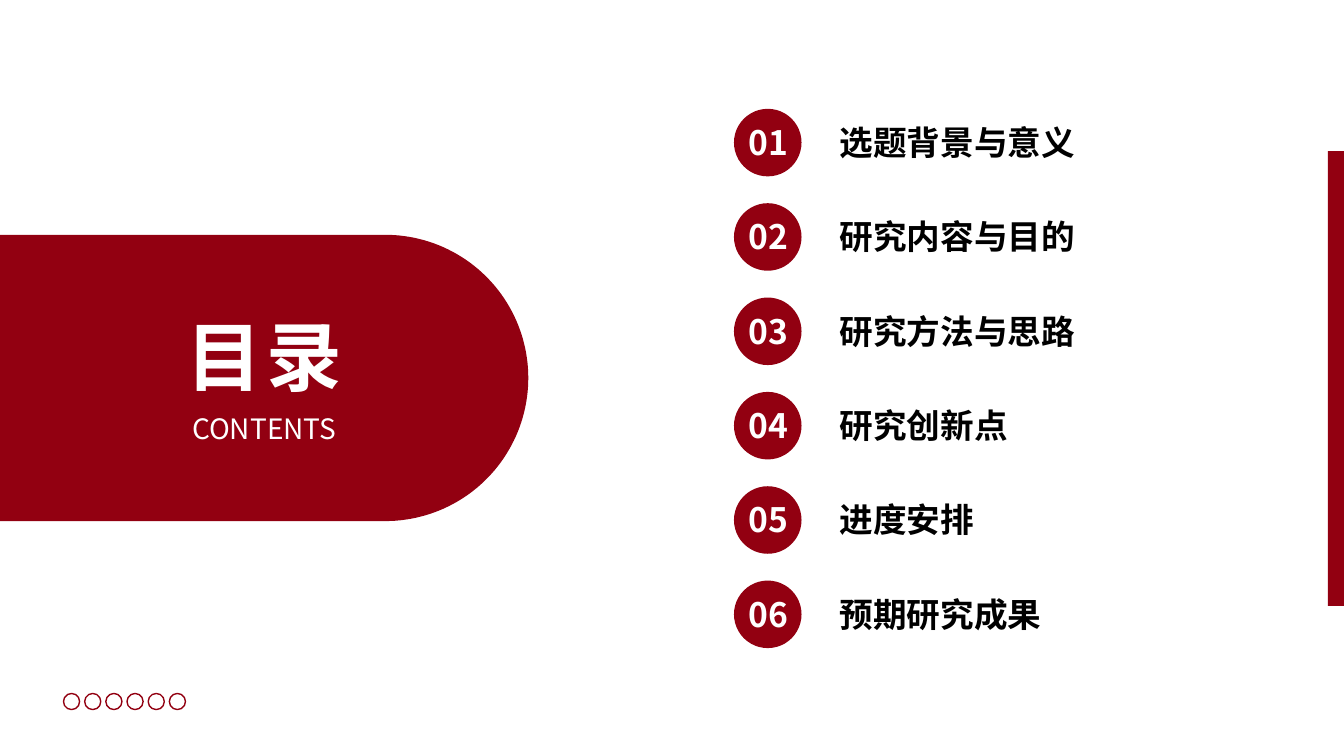
import math
from dataclasses import dataclass

import pptx
import pptx.dml.color
import pptx.enum.shapes
import pptx.enum.text
import pptx.oxml
import pptx.oxml.ns
import pptx.util
from pptx.util import Inches

ALIGN = pptx.enum.text.PP_ALIGN
ANCHOR = pptx.enum.text.MSO_ANCHOR
SHAPE = pptx.enum.shapes.MSO_SHAPE


@dataclass(frozen=True)
class Theme:
    font: str = "Noto Sans CJK SC"
    red: str = "920011"
    white: str = "FFFFFF"
    black: str = "000000"
    title_size: int = 54
    subtitle_size: int = 20
    item_size: int = 24


THEME = Theme()
TOPICS = ["选题背景与意义", "研究内容与目的", "研究方法与思路", "研究创新点", "进度安排", "预期研究成果"]


def rgb(value):
    return pptx.dml.color.RGBColor.from_string(value)


def paint(shape, fill=None, line=None):
    shape.shadow.inherit = False
    if fill:
        shape.fill.solid()
        shape.fill.fore_color.rgb = rgb(fill)
    else:
        shape.fill.background()
    if line:
        shape.line.color.rgb = rgb(line)
        shape.line.width = pptx.util.Pt(1)
    else:
        shape.line.fill.background()


def add_shape(slide, kind, box, **colors):
    shape = slide.shapes.add_shape(kind, *map(Inches, box))
    paint(shape, **colors)


def add_text(slide, text, box, size, color, bold=True, align=ALIGN.CENTER,
             anchor=ANCHOR.TOP, spacing=0):
    frame = slide.shapes.add_textbox(*map(Inches, box)).text_frame
    frame_format = {
        "word_wrap": False,
        "auto_size": pptx.enum.text.MSO_AUTO_SIZE.SHAPE_TO_FIT_TEXT,
        "vertical_anchor": anchor,
    }
    for name, value in frame_format.items():
        setattr(frame, name, value)
    paragraph = frame.paragraphs[0]
    paragraph.alignment = align
    run = paragraph.add_run()
    run.text = text
    run.font.color.rgb = rgb(color)
    font_format = {"name": THEME.font, "size": pptx.util.Pt(size), "bold": bold}
    for name, value in font_format.items():
        setattr(run.font, name, value)
    # East Asian typeface and letter spacing
    properties = run._r.get_or_add_rPr()
    east_asian = pptx.oxml.parse_xml(
        f'<a:ea {pptx.oxml.ns.nsdecls("a")} typeface="{THEME.font}"/>')
    properties.append(east_asian)
    if spacing:
        properties.set("spc", str(spacing * 100))


def add_title_panel(slide):
    # Band from the left edge with a semicircular right end
    center_x, center_y, radius, steps = 3.82, 3.75, 1.42, 90
    angles = [math.pi * (step / steps - 0.5) for step in range(steps + 1)]
    arc = [(Inches(center_x + radius * math.cos(angle)),
            Inches(center_y + radius * math.sin(angle))) for angle in angles]
    top, bottom = Inches(center_y - radius), Inches(center_y + radius)
    builder = slide.shapes.build_freeform(0, top)
    builder.add_line_segments(arc + [(0, bottom)], close=True)
    paint(builder.convert_to_shape(), fill=THEME.red)

    add_text(slide, "目录", (1.72, 3.03, 1.8, 1.01), THEME.title_size, THEME.white, spacing=3)
    add_text(slide, "CONTENTS", (1.79, 4.03, 1.66, 0.44), THEME.subtitle_size,
             THEME.white, bold=False)


def add_topic(slide, number, topic):
    top = 1.08 + (number - 1) * 0.936
    add_shape(slide, SHAPE.OVAL, (7.28, top, 0.67, 0.67), fill=THEME.red)
    add_text(slide, f"{number:02d}", (7.31, top + 0.08, 0.62, 0.5),
             THEME.item_size, THEME.white)
    width = len(topic) * THEME.item_size / 72 + 0.2
    add_text(slide, topic, (8.23, top + 0.08, width, 0.5), THEME.item_size,
             THEME.black, align=ALIGN.LEFT, anchor=ANCHOR.MIDDLE)


def add_decorations(slide):
    for index in range(6):
        add_shape(slide, SHAPE.OVAL, (0.63 + index * 0.21, 6.88, 0.16, 0.16), line=THEME.red)
    add_shape(slide, SHAPE.RECTANGLE, (13.17, 1.5, 0.16, 4.51), fill=THEME.red)


def main():
    presentation = pptx.Presentation()
    presentation.slide_width = Inches(13.33)
    presentation.slide_height = Inches(7.5)
    slide = presentation.slides.add_slide(presentation.slide_layouts[6])

    # Numbered topics
    for number, topic in enumerate(TOPICS, start=1):
        add_topic(slide, number, topic)

    # Title panel, ring row and edge bar
    add_title_panel(slide)
    add_decorations(slide)

    presentation.save("out.pptx")


if __name__ == "__main__":
    main()
